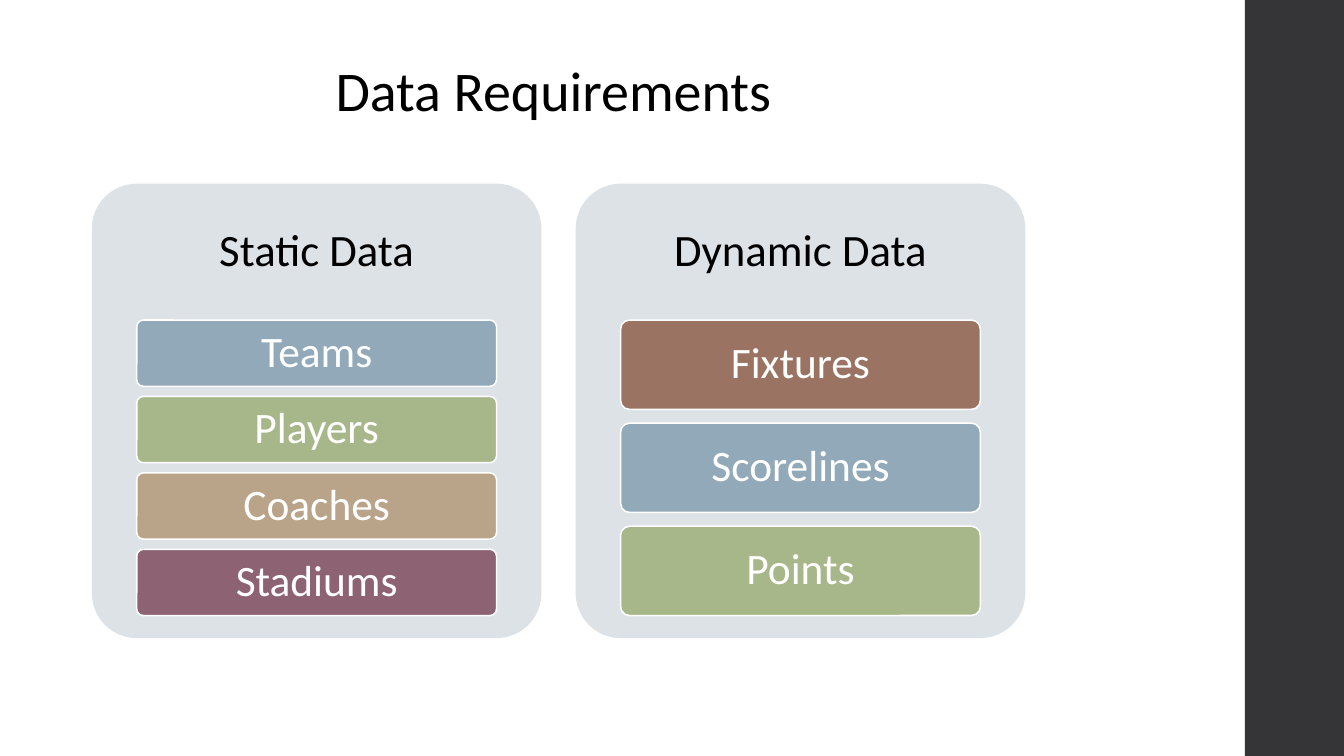
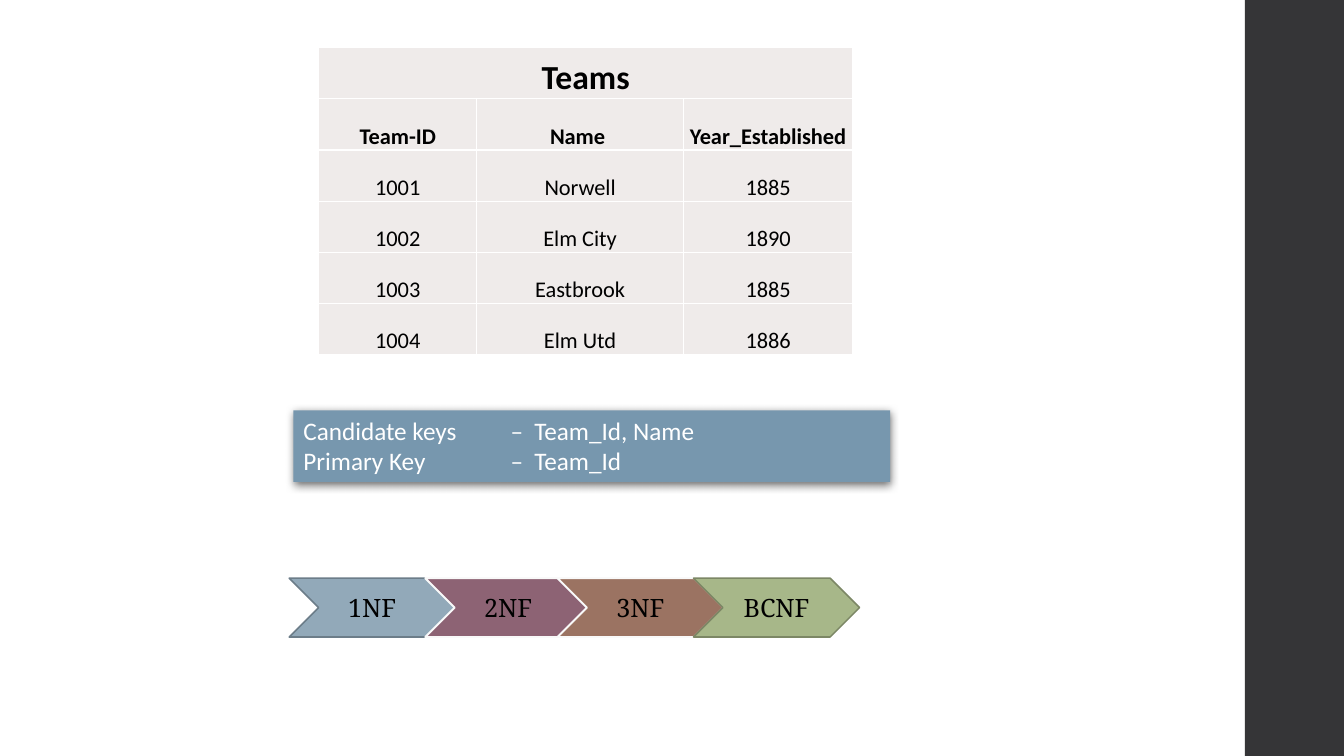
from lxml import etree
from pptx import Presentation
from pptx.dml.color import RGBColor
from pptx.enum import shapes, text
from pptx.oxml import parse_xml
from pptx.oxml.ns import nsdecls, qn
from pptx.util import Pt

WHITE = RGBColor(0xFF, 0xFF, 0xFF)
BLACK = RGBColor(0x00, 0x00, 0x00)
BAND = RGBColor(0x35, 0x35, 0x37)
PANEL = RGBColor(0xDC, 0xE2, 0xE6)
CELL = RGBColor(0xEF, 0xEB, 0xEA)
KEY_BLUE = RGBColor(0x77, 0x97, 0xAE)
BLUE = RGBColor(0x92, 0xA9, 0xB9)
DARK_BLUE = RGBColor(0x6C, 0x7D, 0x89)
GREEN = RGBColor(0xA7, 0xB7, 0x89)
DARK_GREEN = RGBColor(0x7C, 0x87, 0x65)
TAN = RGBColor(0xB9, 0xA4, 0x89)
PLUM = RGBColor(0x8D, 0x63, 0x74)
BROWN = RGBColor(0x9B, 0x73, 0x62)
PALE = RGBColor(0xF9, 0xF9, 0xF9)

SANS = "Calibri"
SERIF = "Noto Serif"
CENTER = text.PP_ALIGN.CENTER
LEFT = text.PP_ALIGN.LEFT
MIDDLE = text.MSO_ANCHOR.MIDDLE
TOP = text.MSO_ANCHOR.TOP
PRESET = shapes.MSO_SHAPE

SLIDE_WIDTH, SLIDE_HEIGHT = 960, 540
BAND_LEFT = 889.2

PANEL_TOP, PANEL_WIDTH, PANEL_HEIGHT = 131.2, 321.2, 324.6
HEADER_HEIGHT = 97.4
ITEM_INDENT, ITEMS_HEIGHT = 32.1, 211.1
GAP_RATIO = 2 / 13

PANELS = [
    (65.6, "Static Data", [("Teams", BLUE), ("Players", GREEN),
                           ("Coaches", TAN), ("Stadiums", PLUM)]),
    (411.2, "Dynamic Data", [("Fixtures", BROWN), ("Scorelines", BLUE),
                             ("Points", GREEN)]),
]
TEAM_COLUMNS = [113, 147.6, 121]
TEAM_ROWS = [
    ("Teams", "", ""),
    ("Team-ID", "Name ", "Year_Established"),
    ("1001", "Norwell", "1885"),
    ("1002", "Elm City", "1890"),
    ("1003", "Eastbrook", "1885"),
    ("1004", "Elm Utd", "1886"),
]
KEYS = ["Candidate keys\t–\tTeam_Id, Name", "Primary Key\t–\tTeam_Id"]
NORMAL_FORMS = [
    (206.6, "1NF", BLUE, DARK_BLUE, 1.1),
    (303.8, "2NF", PLUM, PALE, 1.35),
    (398.2, "3NF", BROWN, PALE, 1.35),
    (495.4, "BCNF", GREEN, DARK_GREEN, 1.1),
]


def add_span(para, words, size, color, font=SANS, bold=False):
    """Append one formatted run to a paragraph."""
    span = para.add_run()
    span.text = words
    span.font.name = font
    span.font.size = Pt(size)
    span.font.bold = bold
    span.font.color.rgb = color


def write(box, lines, size, color, font=SANS, align=CENTER, anchor=MIDDLE,
          spacing=None, insets=(7.2, 3.6)):
    """Fill a shape or text box with one paragraph per line."""
    frame = box.text_frame
    frame.word_wrap = True
    frame.vertical_anchor = anchor
    frame.margin_left = frame.margin_right = Pt(insets[0])
    frame.margin_top = frame.margin_bottom = Pt(insets[1])
    for index, words in enumerate(lines):
        para = frame.add_paragraph() if index else frame.paragraphs[0]
        para.alignment = align
        if spacing:
            para.line_spacing = spacing
        add_span(para, words, size, color, font)


def add_box(page, preset, place, fill, line=None, weight=1.1):
    """Add a flat preset shape at (left, top, width, height)."""
    box = page.shapes.add_shape(preset, *map(Pt, place))
    box.shadow.inherit = False
    box.fill.solid()
    box.fill.fore_color.rgb = fill
    if line is None:
        box.line.fill.background()
    else:
        box.line.color.rgb = line
        box.line.width = Pt(weight)
    return box


def add_label(page, place, words, size, **style):
    """Add a text box holding one black line."""
    box = page.shapes.add_textbox(*map(Pt, place))
    write(box, [words], size, BLACK, **style)


def add_rounded(page, place, fill, line=None):
    """Add a rectangle with slightly rounded corners."""
    box = add_box(page, PRESET.ROUNDED_RECTANGLE, place, fill, line)
    box.adjustments[0] = 0.1
    return box


def add_panel(page, left, heading, items):
    """Add a panel whose items share its lower part evenly."""
    add_rounded(page, (left, PANEL_TOP, PANEL_WIDTH, PANEL_HEIGHT), PANEL)
    add_label(page, (left, PANEL_TOP, PANEL_WIDTH, HEADER_HEIGHT), heading, 32,
              spacing=0.9, insets=(9.6, 9.6))
    height = ITEMS_HEIGHT / (len(items) + (len(items) - 1) * GAP_RATIO)
    for index, (words, fill) in enumerate(items):
        top = PANEL_TOP + HEADER_HEIGHT + index * height * (1 + GAP_RATIO)
        place = (left + ITEM_INDENT, top, PANEL_WIDTH - 2 * ITEM_INDENT, height)
        item = add_rounded(page, place, fill, WHITE)
        write(item, [words], 31, WHITE, spacing=0.9, insets=(6.5, 4.3))


def add_borders(cell):
    """Give a table cell thin white borders."""
    properties = cell._tc.get_or_add_tcPr()
    for index, side in enumerate(("lnL", "lnR", "lnT", "lnB")):
        properties.insert(index, parse_xml(
            f'<a:{side} {nsdecls("a")} w="{Pt(1)}"><a:solidFill>'
            f'<a:srgbClr val="{WHITE}"/></a:solidFill></a:{side}>'))


def add_team_table(page, left, top, row_height):
    """Add the table of teams under a merged heading row."""
    frame = page.shapes.add_table(
        len(TEAM_ROWS), len(TEAM_COLUMNS), Pt(left), Pt(top),
        Pt(sum(TEAM_COLUMNS)), Pt(row_height * len(TEAM_ROWS)))
    table = frame.table
    table.first_row = table.horz_banding = False
    for column, width in zip(table.columns, TEAM_COLUMNS):
        column.width = Pt(width)
    for row, values in enumerate(TEAM_ROWS):
        table.rows[row].height = Pt(row_height)
        for column, words in enumerate(values):
            cell = table.cell(row, column)
            cell.fill.solid()
            cell.fill.fore_color.rgb = CELL
            add_borders(cell)
            cell.margin_left = cell.margin_right = cell.margin_top = Pt(0.7)
            cell.margin_bottom = Pt(0)
            cell.vertical_anchor = text.MSO_ANCHOR.BOTTOM
            if words:
                para = cell.text_frame.paragraphs[0]
                para.alignment = CENTER
                add_span(para, words, 16 if row else 24, BLACK, bold=row < 2)
    table.cell(0, 0).merge(table.cell(0, len(TEAM_COLUMNS) - 1))


def add_drop_shadow(box):
    """Put a soft shadow below a shape."""
    effects = box._element.spPr.find(qn("a:effectLst"))
    effects.append(parse_xml(
        f'<a:outerShdw {nsdecls("a")} blurRad="{Pt(6)}" dist="{Pt(2)}" '
        f'dir="5400000" rotWithShape="0"><a:srgbClr val="{BLACK}">'
        '<a:alpha val="55000"/></a:srgbClr></a:outerShdw>'))


def add_tab_stops(para, stops):
    """Set left tab stops on a paragraph."""
    tabs = etree.SubElement(para._p.get_or_add_pPr(), qn("a:tabLst"))
    for stop in stops:
        etree.SubElement(tabs, qn("a:tab"), pos=str(Pt(stop)), algn="l")


def add_key_box(page, place):
    """Add the shadowed box that lists the keys."""
    box = add_box(page, PRESET.RECTANGLE, place, KEY_BLUE)
    add_drop_shadow(box)
    write(box, KEYS, 18, WHITE, align=LEFT, anchor=TOP)
    for para in box.text_frame.paragraphs:
        add_tab_stops(para, (148, 165))


def add_side_band(deck, page):
    """Draw the side band and move it to the master for all slides."""
    place = (BAND_LEFT, 0, SLIDE_WIDTH - BAND_LEFT, SLIDE_HEIGHT)
    band = add_box(page, PRESET.RECTANGLE, place, BAND)
    deck.slide_master.shapes._spTree.append(band._element)


def build_requirements(page):
    """Build the slide on data requirements."""
    add_label(page, (232.6, 36, 328.4, 55.4), "Data Requirements", 40,
              align=LEFT, anchor=TOP)
    for left, heading, items in PANELS:
        add_panel(page, left, heading, items)


def build_teams(page):
    """Build the slide on the teams table and its normal forms."""
    add_team_table(page, 227.6, 34, 36.6)
    add_key_box(page, (209.6, 293.2, 426.2, 51))
    for left, words, fill, line, weight in NORMAL_FORMS:
        arrow = add_box(page, PRESET.CHEVRON, (left, 413, 118.6, 42),
                        fill, line, weight)
        write(arrow, [words], 18, BLACK, font=SERIF)


def main():
    """Build and save the deck."""
    deck = Presentation()
    deck.slide_width, deck.slide_height = Pt(SLIDE_WIDTH), Pt(SLIDE_HEIGHT)
    blank = deck.slide_layouts[6]
    requirements, teams = (deck.slides.add_slide(blank) for _ in range(2))
    add_side_band(deck, requirements)
    build_requirements(requirements)
    build_teams(teams)
    deck.save("out.pptx")


main()
